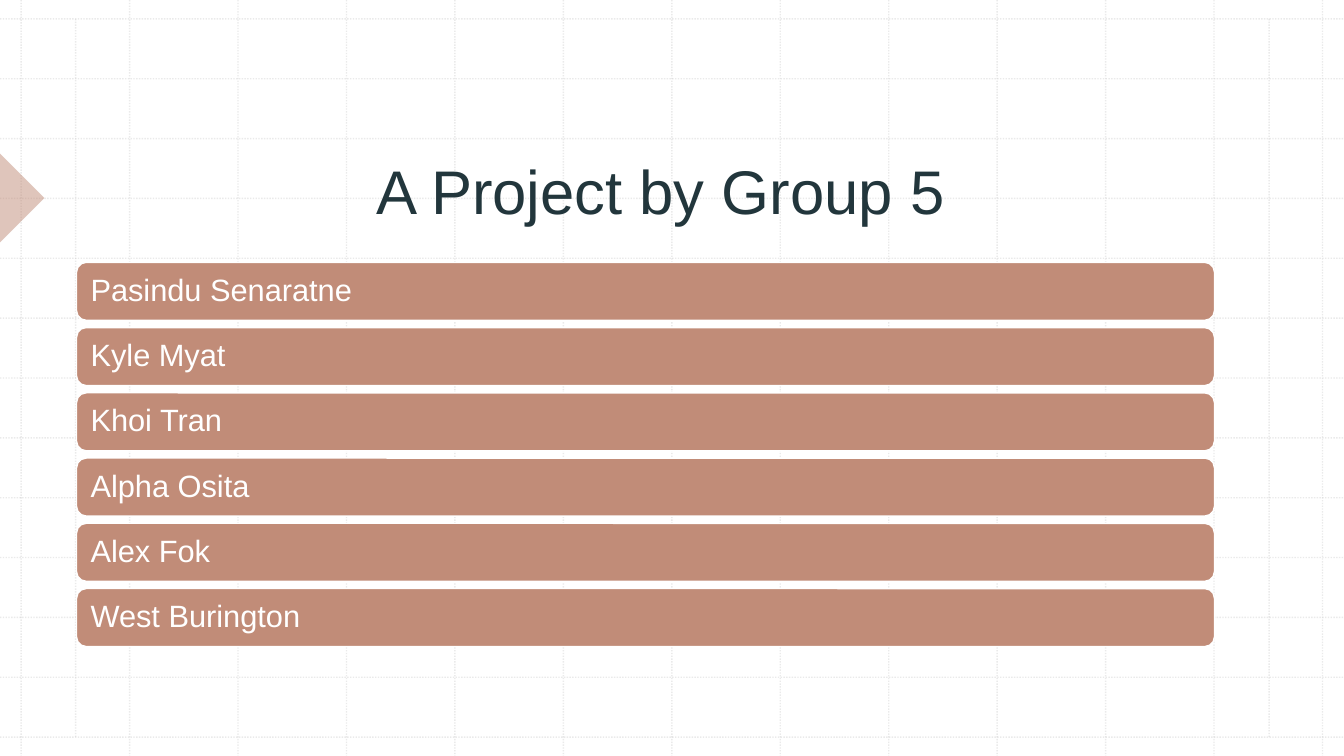
from lxml import etree
from pptx import Presentation
from pptx.dml.color import RGBColor
from pptx.enum import dml, shapes, text
from pptx.oxml import ns
from pptx.util import Pt

WHITE = RGBColor(0xFF, 0xFF, 0xFF)
GRID = RGBColor(0xBC, 0xBC, 0xBC)
CLAY = RGBColor(0xC1, 0x8C, 0x78)
INK = RGBColor(0x22, 0x36, 0x3C)

WIDTH, HEIGHT = 960, 540
MEMBERS = ["Pasindu Senaratne", "Kyle Myat", "Khoi Tran",
           "Alpha Osita", "Alex Fok", "West Burington"]


def set_alpha(sp, percent):
    """Make every solid colour of a shape partly transparent."""
    for clr in sp.element.spPr.iter(ns.qn("a:srgbClr")):
        etree.SubElement(clr, ns.qn("a:alpha"), val=str(percent * 1000))


def write(tf, content, size=22, color=WHITE, align=text.PP_ALIGN.LEFT,
          spacing=0.9, inset=8):
    """Fill a text frame with one formatted, vertically centred paragraph."""
    tf.word_wrap = True
    tf.auto_size = text.MSO_AUTO_SIZE.NONE
    tf.vertical_anchor = text.MSO_ANCHOR.MIDDLE
    tf.margin_left = tf.margin_right = Pt(inset)
    p = tf.paragraphs[0]
    p.alignment = align
    p.line_spacing = spacing
    r = p.add_run()
    r.text = content
    r.font.name = "Arial"
    r.font.size = Pt(size)
    r.font.color.rgb = color


def add_grid_line(s, x1, y1, x2, y2):
    """Draw one faint dotted line."""
    cx = s.shapes.add_connector(shapes.MSO_CONNECTOR.STRAIGHT,
                                Pt(x1), Pt(y1), Pt(x2), Pt(y2))
    cx.line.color.rgb = GRID
    cx.line.width = Pt(1)
    cx.line.dash_style = dml.MSO_LINE.ROUND_DOT
    set_alpha(cx, 30)
    etree.SubElement(cx.element.spPr, ns.qn("a:effectLst"))


def add_grid(s):
    """Draw the background grid and its two inner margin lines."""
    for i in range(13):
        x, y = 15.12 + 77.46 * i, 13.5 + 42.75 * i
        add_grid_line(s, x, 0, x, HEIGHT)
        add_grid_line(s, 0, y, WIDTH, y)
    for x in (54, 906.5):
        add_grid_line(s, x, 13.5, x, 526.5)


def add_block(s, kind, x, y, w, h):
    """Add a clay-coloured preset shape without outline or shadow."""
    sp = s.shapes.add_shape(kind, Pt(x), Pt(y), Pt(w), Pt(h))
    sp.shadow.inherit = False
    sp.fill.solid()
    sp.fill.fore_color.rgb = CLAY
    sp.line.fill.background()
    return sp


def add_marker(s):
    """Add the translucent pointer at the left edge."""
    sp = add_block(s, shapes.MSO_SHAPE.RIGHT_TRIANGLE, -22.4, 119, 44.8, 44.8)
    sp.rotation = 225
    set_alpha(sp, 50)


def add_title(s, content):
    """Place the title above the grid."""
    sp = s.shapes.title
    sp.left, sp.top, sp.width, sp.height = Pt(54), Pt(57), Pt(836), Pt(157)
    write(sp.text_frame, content, size=44, color=INK,
          align=text.PP_ALIGN.CENTER, spacing=1.0, inset=7.2)
    sp.element.getparent().append(sp.element)


def add_member(s, row, name):
    """Add the rounded bar of one group member."""
    sp = add_block(s, shapes.MSO_SHAPE.ROUNDED_RECTANGLE,
                   54.7, 187.4 + 46.6 * row, 812.8, 41.4)
    sp.line.color.rgb = WHITE
    sp.line.width = Pt(1)
    write(sp.text_frame, name)


def main():
    """Build and save the slide."""
    prs = Presentation()
    prs.slide_width, prs.slide_height = Pt(WIDTH), Pt(HEIGHT)
    s = prs.slides.add_slide(prs.slide_layouts[5])
    s.background.fill.solid()
    s.background.fill.fore_color.rgb = WHITE
    add_grid(s)
    add_marker(s)
    add_title(s, "A Project by Group 5")
    for row, name in enumerate(MEMBERS):
        add_member(s, row, name)
    prs.save("out.pptx")


if __name__ == "__main__":
    main()
